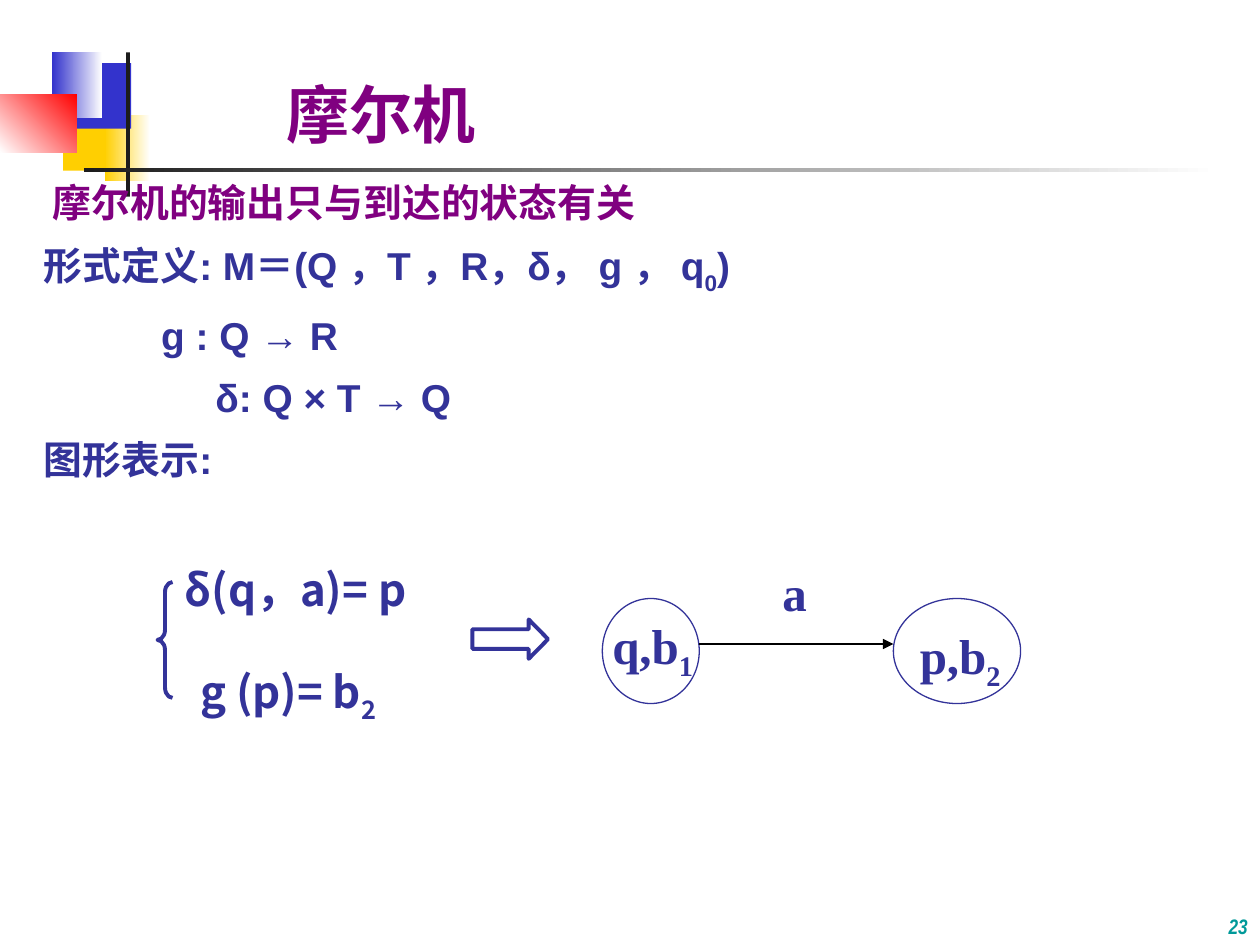
from lxml import etree
from pptx import Presentation
from pptx.dml.color import RGBColor
from pptx.enum import shapes, text
from pptx.oxml import ns
from pptx.util import Pt

WHITE = RGBColor(0xFF, 0xFF, 0xFF)
BLACK = RGBColor(0, 0, 0)
DARK = RGBColor(0x1C, 0x1C, 0x1C)
GOLD = RGBColor(0xFF, 0xCF, 0x01)
BLUE = RGBColor(0x33, 0x33, 0xCC)
RED = RGBColor(0xFF, 0, 0)
PLUM = RGBColor(0x80, 0, 0x80)
NAVY = RGBColor(0x33, 0x33, 0x99)
TEAL = RGBColor(0, 0x99, 0x99)
SANS, SERIF = "Noto Sans CJK SC", "Times New Roman"

DECOR = [
    ((36, 60, 34.5, 37.5), (GOLD,)),
    ((59.8, 66, 26, 37.5), (WHITE, GOLD, 180)),
    ((42, 36, 33, 37.5), (BLUE,)),
    ((30, 30, 28.5, 37.5), (WHITE, BLUE, 180)),
    ((0, 54, 44, 33), (RED, WHITE, 225)),
    ((72, 30, 2.25, 82.5), (DARK,)),
    ((48, 96, 648, 2.25), (WHITE, DARK, 180)),
]
BODY = [
    (5, PLUM, SANS, [("摩尔机的输出只与到达的状态有关", 0)]),
    (0, NAVY, "Arial", [("形式定义: M＝(Q ，T ，R，δ， g ， q", 0), ("0", -30), (")", 0)]),
    (67, NAVY, "Arial", [("g : Q → R", 0)]),
    (98, NAVY, "Arial", [("δ: Q × T → Q", 0)]),
    (0, NAVY, "Arial", [("图形表示:", 0)]),
]
RULES = [
    ((98.6, 318, 165, 37.5), [("δ(q，a)= p", 0)]),
    ((107.3, 376.5, 139, 42), [("g (p)= b", 0), ("2", -25)]),
]
STATES = [
    ((344.2, 342, 55.4, 60), (342.7, 348, 60.5, 45), "q,b", "1"),
    ((510.5, 342, 72.7, 60), (518.4, 354, 60.5, 45), "p,b", "2"),
]

show = Presentation()
show.slide_width, show.slide_height = Pt(720), Pt(540)
slide = show.slides.add_slide(show.slide_layouts[6])
ALIGN, KIND = text.PP_ALIGN, shapes.MSO_SHAPE


def add_shape(kind, box, fill=None, line=None, width=0.75):
    shape = slide.shapes.add_shape(kind, *map(Pt, box))
    shape.shadow.inherit = False
    if fill is None:
        shape.fill.background()
    elif len(fill) == 1:
        shape.fill.solid()
        shape.fill.fore_color.rgb = fill[0]
    else:
        shape.fill.gradient()
        shape.fill.gradient_angle = fill[2]
        for stop, color in zip(shape.fill.gradient_stops, fill):
            stop.color.rgb = color
    if line is None:
        shape.line.fill.background()
    else:
        shape.line.color.rgb = line
        shape.line.width = Pt(width)
    return shape


def add_box(box, wrap=True, anchor=text.MSO_ANCHOR.TOP):
    frame = slide.shapes.add_textbox(*map(Pt, box)).text_frame
    frame.word_wrap = wrap
    frame.vertical_anchor = anchor
    return frame


def add_runs(para, runs, size, face, color, italic=False):
    for words, base in runs:
        run = para.add_run()
        run.text = words
        font = run.font
        font.size, font.name, font.bold = Pt(size), face, True
        font.color.rgb = color
        if italic:
            font.italic = True
        props = run._r.get_or_add_rPr()
        etree.SubElement(props, ns.qn("a:ea")).set("typeface", SANS)
        if base:
            props.set("baseline", str(base * 1000))


def add_label(box, runs):
    para = add_box(box, wrap=False).paragraphs[0]
    para.alignment = ALIGN.RIGHT
    para.space_before = Pt(7)
    add_runs(para, runs, 28, SERIF, NAVY)


for box, fill in DECOR:
    add_shape(KIND.RECTANGLE, box, fill)

title = add_box((90, 24, 264, 66), anchor=text.MSO_ANCHOR.BOTTOM).paragraphs[0]
title.alignment = ALIGN.CENTER
add_runs(title, [("摩尔机 ", 0)], 36, "Lato", PLUM)

frame = add_box((18, 96, 672, 216))
for row, (left, color, face, runs) in enumerate(BODY):
    para = frame.add_paragraph() if row else frame.paragraphs[0]
    para.alignment = ALIGN.JUSTIFY
    para.line_spacing = 1.1
    para.space_before = Pt(6)
    para._p.get_or_add_pPr().set("marL", str(Pt(left)))
    add_runs(para, runs, 22.2, face, color)

for box, runs in RULES:
    add_runs(add_box(box).paragraphs[0], runs, 25, SANS, NAVY)

brace = add_shape(KIND.LEFT_BRACE, (90, 332.6, 8.6, 66.2), None, NAVY, 2.25)
brace.adjustments[0] = 0.67
arrow = add_shape(KIND.RIGHT_ARROW, (270, 354, 43.2, 22.5), (WHITE,), NAVY, 2.25)
arrow.adjustments[1] = 0.49

for oval, box, name, sub in STATES:
    add_shape(KIND.OVAL, oval, (WHITE,), NAVY)
    add_label(box, [(name, 0), (sub, -25)])

first, last = STATES[0][0], STATES[1][0]
edge = slide.shapes.add_connector(
    shapes.MSO_CONNECTOR.STRAIGHT, Pt(first[0] + first[2]), Pt(368), Pt(last[0]), Pt(368))
edge.line.color.rgb = BLACK
edge.line.width = Pt(0.75)
etree.SubElement(edge.line._get_or_add_ln(), ns.qn("a:tailEnd")).set("type", "triangle")
etree.SubElement(edge._element.spPr, ns.qn("a:effectLst"))
add_label((440, 318, 28, 41), [("a", 0)])

page = add_box((600, 504, 120, 36), anchor=text.MSO_ANCHOR.BOTTOM).paragraphs[0]
page.alignment = ALIGN.RIGHT
add_runs(page, [("23", 0)], 12, "Arial Narrow", TEAL, italic=True)

show.save("out.pptx")
